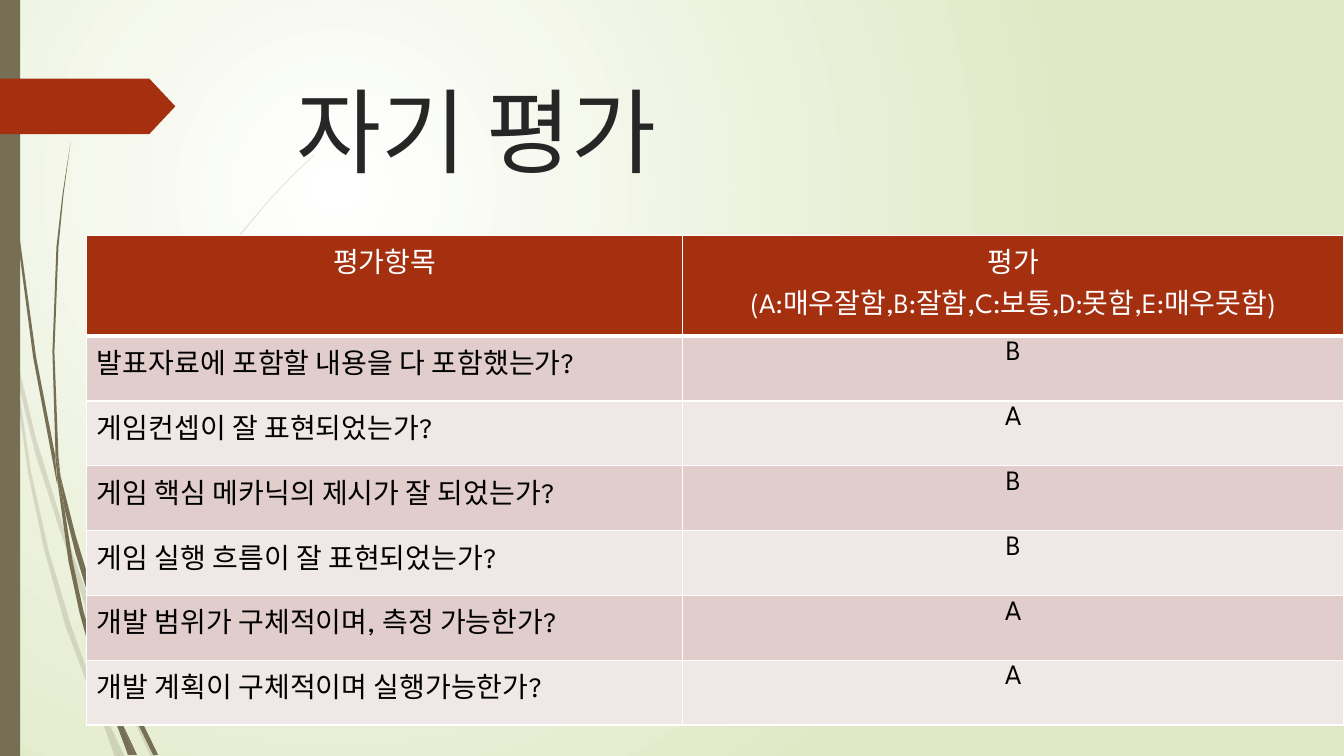
from lxml import etree
from pptx import Presentation
from pptx.dml.color import RGBColor
from pptx.enum.shapes import MSO_SHAPE as Shape
from pptx.enum.text import MSO_ANCHOR as Anchor, MSO_AUTO_SIZE as AutoSize, PP_ALIGN as Align
from pptx.oxml.ns import qn
from pptx.util import Cm, Pt

FONT = "League Spartan"
WHITE = RGBColor(0xFF, 0xFF, 0xFF)
BLACK = RGBColor(0x00, 0x00, 0x00)
CHARCOAL = RGBColor(0x26, 0x26, 0x26)
PALE_GREEN = RGBColor(0xDF, 0xE8, 0xC4)
OLIVE = RGBColor(0x76, 0x6F, 0x54)
RUST = RGBColor(0xA5, 0x30, 0x10)
ROW_FILLS = (RGBColor(0xE1, 0xCD, 0xCC), RGBColor(0xF0, 0xE8, 0xE7))

# Outlines of the grass blades, in hundredths of an inch from the slide corner.
GRASS_UNIT = Cm(0.0254)
FAINT_GRASS = [
    [(11, 350), (9, 322), (0, 282), (0, 299), (10, 344)],
    [(58, 522), (84, 599), (85, 586), (62, 520), (36, 436), (14, 345), (17, 376), (35, 450)],
    [(92, 607), (88, 596), (88, 610), (123, 694), (150, 751), (155, 751), (127, 692)],
    [(119, 751), (124, 751), (105, 711)],
    [(93, 683), (70, 619), (48, 545), (31, 469), (17, 376), (11, 350), (28, 470), (44, 546),
     (65, 621), (92, 693), (101, 714), (99, 707)],
    [(84, 599), (87, 646), (93, 683), (96, 692), (105, 711), (103, 706), (91, 646),
     (88, 610), (88, 608)],
    [(88, 584), (95, 522), (110, 462), (132, 405), (160, 349), (193, 296), (229, 245),
     (268, 198), (290, 175), (312, 154), (312, 153), (289, 175), (268, 197), (228, 244),
     (191, 295), (158, 348), (129, 404), (107, 461), (92, 522), (85, 584), (85, 586), (88, 596)],
    [(101, 714), (114, 751), (119, 751)],
    [(88, 608), (88, 610), (88, 596), (85, 586), (84, 599)],
    [(96, 692), (93, 683), (99, 707), (101, 714), (119, 751), (105, 711)],
]
SOLID_GRASS = [
    [(7, 110), (17, 233), (33, 355), (56, 477), (57, 481), (55, 457), (55, 453), (36, 355),
     (19, 232), (8, 109), (5, 48), (4, 0), (3, 0), (4, 48)],
    [(88, 592), (106, 645), (106, 633), (106, 631), (93, 590), (75, 531), (60, 472),
     (64, 505), (75, 549)],
    [(113, 649), (110, 641), (111, 656), (132, 708), (152, 749), (157, 749), (136, 706)],
    [(110, 691), (98, 657), (83, 607), (72, 556), (64, 505), (57, 477), (68, 557), (79, 608),
     (93, 659), (111, 708), (117, 722), (116, 717)],
    [(60, 472), (58, 453), (54, 349), (58, 245), (63, 193), (70, 141), (62, 193), (56, 245),
     (52, 349), (55, 449)],
    [(133, 749), (136, 749), (122, 719)],
    [(57, 477), (64, 505), (60, 472), (55, 449), (55, 453)],
    [(111, 633), (115, 592), (125, 552), (140, 513), (158, 476), (181, 440), (205, 406),
     (231, 374), (245, 359), (261, 344), (260, 344), (245, 358), (231, 373), (204, 405),
     (179, 439), (156, 474), (137, 512), (122, 551), (111, 591), (106, 631), (110, 641)],
    [(117, 722), (127, 749), (131, 749)],
    [(106, 645), (110, 691), (116, 706), (122, 719), (121, 716), (111, 656), (109, 651)],
    [(106, 645), (109, 651), (111, 656), (110, 641), (106, 631)],
    [(116, 706), (110, 691), (116, 717), (117, 722), (130, 749), (133, 749), (122, 719)],
]

HEADER = (["평가항목"], ["평가", "(A:매우잘함,B:잘함,C:보통,D:못함,E:매우못함)"])
RATINGS = [
    ("발표자료에 포함할 내용을 다 포함했는가?", "B"),
    ("게임컨셉이 잘 표현되었는가?", "A"),
    ("게임 핵심 메카닉의 제시가 잘 되었는가?", "B"),
    ("게임 실행 흐름이 잘 표현되었는가?", "B"),
    ("개발 범위가 구체적이며, 측정 가능한가?", "A"),
    ("개발 계획이 구체적이며 실행가능한가?", "A"),
]


def paint_background(slide):
    """Radial gradient centred in the upper left quarter."""
    fill = slide.background.fill
    fill.gradient()
    for stop, color, position in zip(fill.gradient_stops, (WHITE, PALE_GREEN), (0, 1)):
        stop.color.rgb = color
        stop.position = position
    gradient = slide.element.xpath(".//p:bg//a:gradFill")[0]
    for linear in gradient.findall(qn("a:lin")):
        gradient.remove(linear)
    circle = etree.SubElement(gradient, qn("a:path"), path="circle")
    etree.SubElement(circle, qn("a:fillToRect"), l="50000", t="50000", r="100000", b="100000")


def paint_shape(shape, color, opacity=100):
    shape.shadow.inherit = False
    shape.line.fill.background()
    shape.fill.solid()
    shape.fill.fore_color.rgb = color
    if opacity < 100:
        color_element = shape.element.spPr.find(qn("a:solidFill"))[0]
        etree.SubElement(color_element, qn("a:alpha"), val=str(opacity * 1000))


def add_grass(slide, blades, opacity):
    for first, *others in blades:
        builder = slide.shapes.build_freeform(*first, scale=GRASS_UNIT)
        builder.add_line_segments(others, close=True)
        paint_shape(builder.convert_to_shape(), OLIVE, opacity)


def add_side_decoration(slide, height):
    add_grass(slide, FAINT_GRASS, 20)
    add_grass(slide, SOLID_GRASS, 100)
    paint_shape(slide.shapes.add_shape(Shape.RECTANGLE, 0, 0, Cm(0.51), height), OLIVE)
    arrow = slide.shapes.add_shape(Shape.PENTAGON, 0, Cm(1.98), Cm(4.42), Cm(1.4))
    arrow.adjustments[0] = 0.47
    paint_shape(arrow, RUST)


def add_text(paragraph, text, size, color, alignment):
    paragraph.alignment = alignment
    run = paragraph.add_run()
    run.text = text
    run.font.name = FONT
    run.font.size = Pt(size)
    run.font.color.rgb = color


def fill_title(slide, left, top, width, height):
    title = slide.shapes.title
    title.left, title.top, title.width, title.height = left, top, width, height
    frame = title.text_frame
    frame.auto_size = AutoSize.NONE
    frame.vertical_anchor = Anchor.TOP
    add_text(frame.paragraphs[0], "자기 평가", 66, CHARCOAL, Align.LEFT)
    title.element.getparent().append(title.element)  # in front of the grass


def set_borders(cell, bottom_width, top_width):
    properties = cell._tc.get_or_add_tcPr()
    for side, width in (("L", 1), ("R", 1), ("T", top_width), ("B", bottom_width)):
        line = etree.SubElement(properties, qn(f"a:ln{side}"), w=str(Pt(width)))
        solid = etree.SubElement(line, qn("a:solidFill"))
        etree.SubElement(solid, qn("a:srgbClr"), val=str(WHITE))


def fill_cell(cell, lines, fill, color, alignment, bottom_width=1, top_width=1):
    set_borders(cell, bottom_width, top_width)
    cell.fill.solid()
    cell.fill.fore_color.rgb = fill
    frame = cell.text_frame
    for index, text in enumerate(lines):
        paragraph = frame.add_paragraph() if index else frame.paragraphs[0]
        add_text(paragraph, text, 20, color, alignment)


def add_rating_table(slide, left, top, width, height):
    table = slide.shapes.add_table(len(RATINGS) + 1, 2, left, top, width, height).table
    table.columns[0].width = Cm(15.01)
    table.columns[1].width = width - Cm(15.01)
    header_height = Cm(2.54)
    table.rows[0].height = header_height
    for column, lines in enumerate(HEADER):
        fill_cell(table.cell(0, column), lines, RUST, WHITE, Align.CENTER, bottom_width=3)
    for row, (question, grade) in enumerate(RATINGS, start=1):
        table.rows[row].height = (height - header_height) // len(RATINGS)
        fill = ROW_FILLS[(row - 1) % 2]
        top_width = 3 if row == 1 else 1
        for column, (text, alignment) in enumerate(((question, Align.LEFT), (grade, Align.CENTER))):
            fill_cell(table.cell(row, column), [text], fill, BLACK, alignment, top_width=top_width)


def main():
    presentation = Presentation()
    presentation.slide_width, presentation.slide_height = Cm(33.87), Cm(19.05)
    slide = presentation.slides.add_slide(presentation.slide_layouts[5])
    paint_background(slide)
    add_side_decoration(slide, presentation.slide_height)
    fill_title(slide, Cm(7.21), Cm(1.73), Cm(24.77), Cm(3.56))
    add_rating_table(slide, Cm(2.19), Cm(5.93), Cm(31.68), Cm(12.34))
    presentation.save("out.pptx")


if __name__ == "__main__":
    main()
